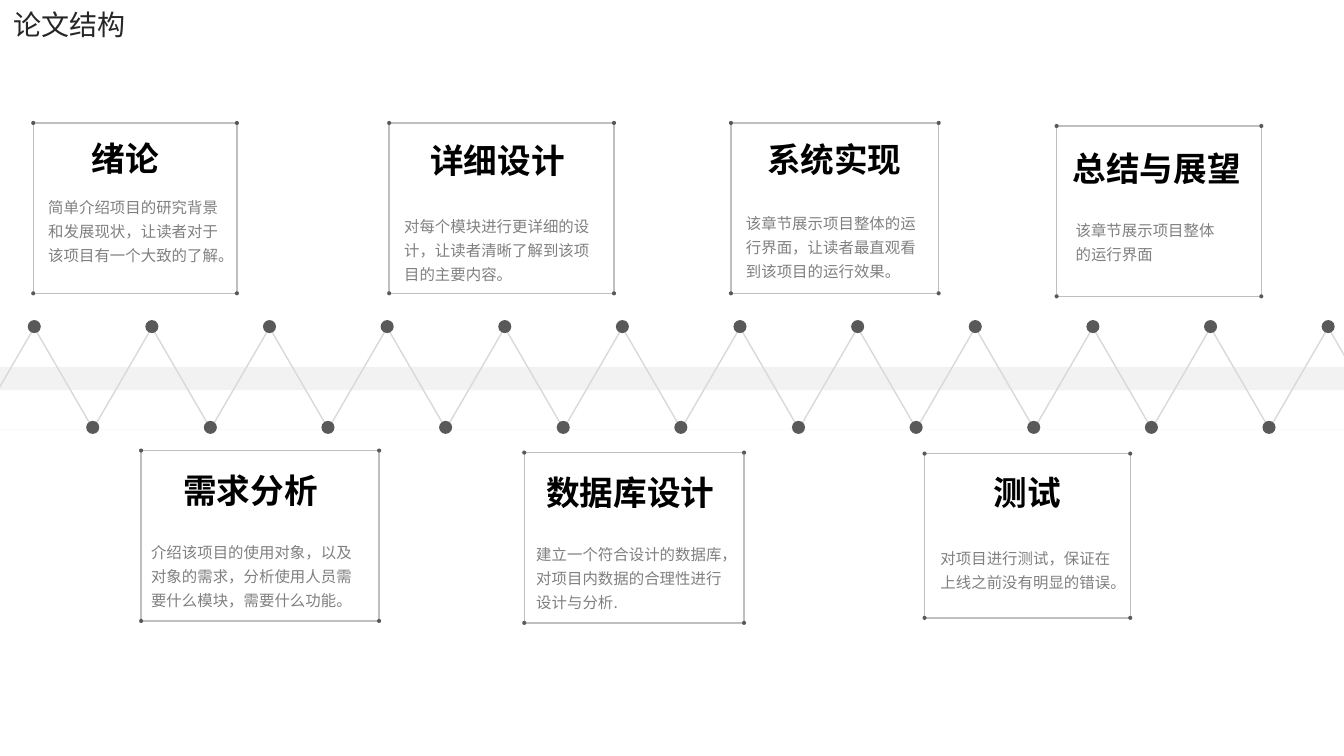
from lxml import etree
from pptx import Presentation
from pptx import util as u
from pptx.dml.color import RGBColor
from pptx.enum import lang, shapes, text
from pptx.oxml.ns import qn

HUES = {"ink": "262626", "head": "000000", "body": "808080", "dot": "595959",
        "edge": "BFBFBF", "zig": "D9D9D9", "band": "F2F2F2", "white": "FFFFFF"}
LATIN, HAN = "Cabin", "Noto Sans CJK SC"
KIND = shapes.MSO_SHAPE


class Deck:
    def __init__(self):
        self.prs = Presentation()
        self.prs.slide_width = u.Inches(13.33)
        self.prs.slide_height = u.Inches(7.5)
        self.slide = self.prs.slides.add_slide(self.prs.slide_layouts[5])

    def hue(self, name):
        return RGBColor.from_string(HUES[name])

    def shape(self, kind, box, fill=None, line=None):
        item = self.slide.shapes.add_shape(kind, *map(u.Inches, box))
        item.shadow.inherit = False
        if fill:
            item.fill.solid()
            item.fill.fore_color.rgb = self.hue(fill)
        else:
            item.fill.background()
        if line:
            item.line.color.rgb = self.hue(line)
            item.line.width = u.Pt(1)
        else:
            item.line.fill.background()

    def dot(self, x, y, size):
        self.shape(KIND.OVAL, (x - size / 2, y - size / 2, size, size), "dot")

    def rule(self, x1, x2, y, hue, width):
        ends = map(u.Inches, (x1, y, x2, y))
        item = self.slide.shapes.add_connector(shapes.MSO_CONNECTOR.STRAIGHT, *ends)
        item.line.color.rgb = self.hue(hue)
        item.line.width = u.Pt(width)
        etree.SubElement(item._element.spPr, qn("a:effectLst"))

    def put(self, item, words, size, hue, face=LATIN, bold=False, wrap=False, gap=1.0):
        frame = item.text_frame
        frame.word_wrap = wrap
        frame.auto_size = text.MSO_AUTO_SIZE.SHAPE_TO_FIT_TEXT
        frame.vertical_anchor = text.MSO_ANCHOR.TOP
        para = frame.paragraphs[0]
        para.alignment = text.PP_ALIGN.LEFT
        para.line_spacing = gap
        run = para.add_run()
        run.text = words
        font = run.font
        font.size, font.bold, font.name = u.Pt(size), bold, face
        font.color.rgb = self.hue(hue)
        font.language_id = lang.MSO_LANGUAGE_ID.SIMPLIFIED_CHINESE
        # East Asian typeface
        etree.SubElement(run._r.rPr, qn("a:ea")).set("typeface", HAN)

    def title(self, words, box):
        item = self.slide.shapes.title
        item.left, item.top, item.width, item.height = map(u.Inches, box)
        self.put(item, words, 20, "ink")

    def label(self, words, box, **style):
        item = self.slide.shapes.add_textbox(*map(u.Inches, box))
        self.put(item, words, **style)

    def card(self, frame, head, hbox, body, bbox):
        x, y, w, h = frame
        self.shape(KIND.RECTANGLE, frame, line="edge")
        for cx in (x, x + w):
            for cy in (y, y + h):
                self.dot(cx, cy, 0.04)
        self.label(head, hbox, size=24, hue="head", bold=True)
        self.label(body, bbox, size=11, hue="body", face=HAN, wrap=True, gap=1.3)


# Frame, heading and its box, body and its box
CARDS = [
    ((0.33, 1.22, 2.02, 1.69), "绪论", (0.81, 1.32, 0.88, 0.5),
     "简单介绍项目的研究背景和发展现状，让读者对于该项目有一个大致的了解。",
     (0.38, 1.86, 1.92, 1.06)),
    ((1.4, 4.47, 2.36, 1.69), "需求分析", (1.72, 4.61, 1.55, 0.5),
     "介绍该项目的使用对象，以及对象的需求，分析使用人员需要什么模块，需要什么功能。",
     (1.4, 5.28, 2.26, 0.82)),
    ((3.86, 1.22, 2.23, 1.69), "详细设计", (4.17, 1.34, 1.55, 0.5),
     "对每个模块进行更详细的设计，让读者清晰了解到该项目的主要内容。",
     (3.91, 2.05, 2.05, 0.82)),
    ((5.2, 4.49, 2.18, 1.69), "数据库设计", (5.32, 4.63, 1.88, 0.5),
     "建立一个符合设计的数据库，对项目内数据的合理性进行设计与分析.",
     (5.22, 5.3, 2.09, 0.82)),
    ((7.25, 1.22, 2.06, 1.69), "系统实现", (7.51, 1.33, 1.55, 0.5),
     "该章节展示项目整体的运行界面，让读者最直观看到该项目的运行效果。",
     (7.3, 2.02, 2.01, 0.82)),
    ((9.17, 4.5, 2.04, 1.63), "测试", (9.76, 4.63, 0.88, 0.5),
     "对项目进行测试，保证在上线之前没有明显的错误。",
     (9.23, 5.34, 1.93, 0.58)),
    ((10.48, 1.25, 2.03, 1.69), "总结与展望", (10.54, 1.42, 1.88, 0.5),
     "该章节展示项目整体的运行界面", (10.57, 2.09, 1.7, 0.58)),
]


def main():
    deck = Deck()
    deck.title("论文结构", (0.03, 0.02, 1.32, 0.44))

    # Band and zigzag, with a white rule over the triangle bases
    count, step = 12, 7 / 6
    deck.shape(KIND.RECTANGLE, (0, 3.64, 13.33, 0.23), "band")
    for i in range(count):
        deck.shape(KIND.ISOSCELES_TRIANGLE, (-0.24 + i * step, 3.25, 1.16, 1), line="zig")
    deck.rule(-0.23, 13.74, 4.24, "white", 3)

    # Dots on the peaks and in the valleys
    for i in range(count):
        deck.dot(0.34 + i * step, 3.24, 0.13)
    for i in range(count - 1):
        deck.dot(0.92 + i * step, 4.24, 0.13)

    # Chapter cards
    for card in CARDS:
        deck.card(*card)
    deck.prs.save("out.pptx")


if __name__ == "__main__":
    main()
